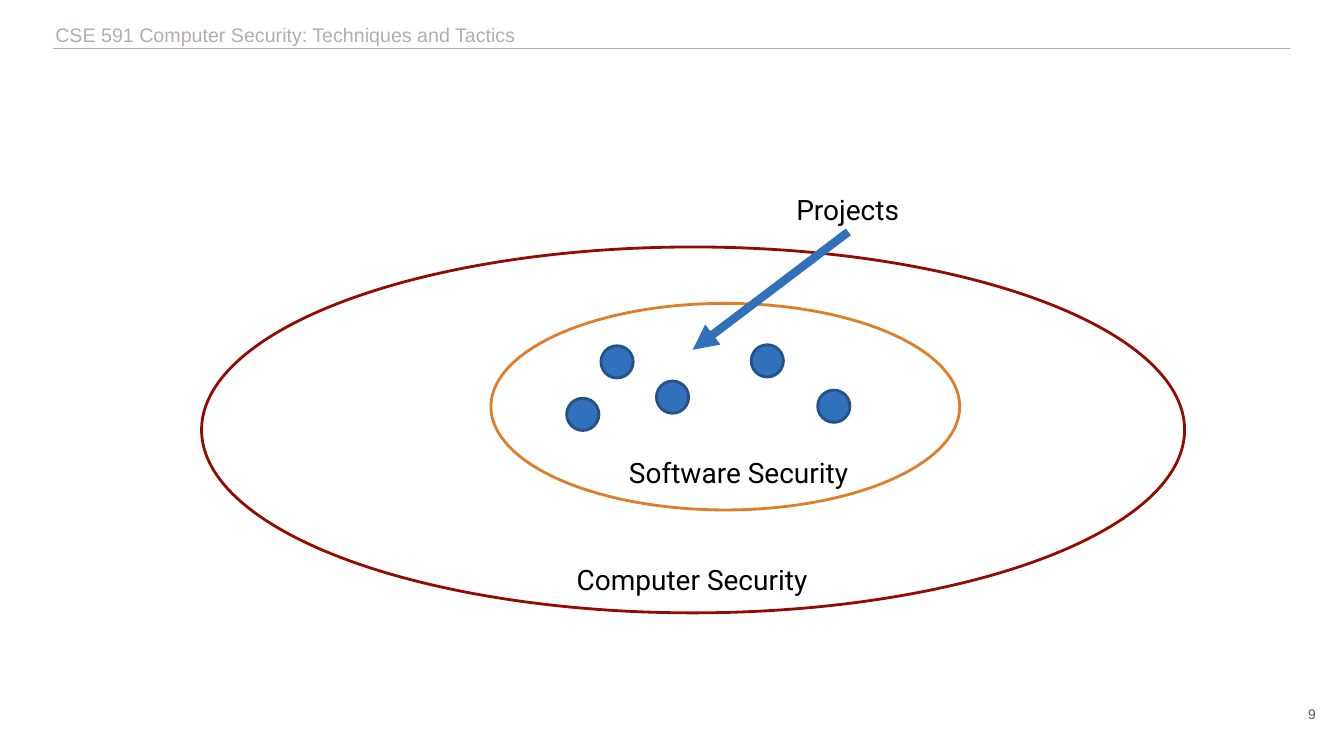
from lxml import etree
from pptx import Presentation
from pptx.dml.color import RGBColor
from pptx.enum.shapes import MSO_CONNECTOR, MSO_SHAPE
from pptx.enum.text import MSO_ANCHOR, MSO_AUTO_SIZE, PP_ALIGN
from pptx.oxml.ns import qn
from pptx.util import Inches, Pt

STRAIGHT, ELLIPSE = MSO_CONNECTOR.STRAIGHT, MSO_SHAPE.OVAL
TOP, MIDDLE = MSO_ANCHOR.TOP, MSO_ANCHOR.MIDDLE
LEFT, RIGHT = PP_ALIGN.LEFT, PP_ALIGN.RIGHT
GROW, FIXED = MSO_AUTO_SIZE.SHAPE_TO_FIT_TEXT, MSO_AUTO_SIZE.NONE
BOTTOM_SIDE = 2

COLORS = {name: RGBColor.from_string(value) for name, value in {
    "white": "FFFFFF", "black": "000000", "header": "B5ADAA", "number": "595959",
    "computer": "930C02", "software": "DE7E2B", "project": "3170BA", "project_edge": "24538A",
}.items()}

deck = Presentation()
deck.slide_width, deck.slide_height = Inches(13.33), Inches(7.5)
page = deck.slides.add_slide(deck.slide_layouts[6])


def place(*shares):
    """Turn alternating percentages of slide width and height into lengths."""
    sides = (deck.slide_width, deck.slide_height) * 2
    return [round(side * share / 100) for side, share in zip(sides, shares)]


def draw_line(shares, color, width):
    line = page.shapes.add_connector(STRAIGHT, *place(*shares))
    line.line.color.rgb, line.line.width = COLORS[color], Pt(width)
    etree.SubElement(line._element.spPr, qn("a:effectLst"))
    return line


draw_line((3.98, 6.4, 96.02, 6.4), "header", 0.75)

# Security fields, then the projects inside them
ellipses = [
    ((15, 32.67, 73.14, 48.4), "white", "computer"),
    ((36.53, 40.13, 34.88, 27.33), "white", "software"),
]
project_corners = [(55.89, 45.6), (48.84, 50.4), (44.71, 45.73), (42.16, 52.67), (60.84, 51.6)]
ellipses += [((*corner, 2.4, 4.27), "project", "project_edge") for corner in project_corners]
for shares, fill, edge in ellipses:
    ellipse = page.shapes.add_shape(ELLIPSE, *place(*shares))
    ellipse.shadow.inherit = False
    ellipse.fill.solid()
    ellipse.fill.fore_color.rgb = COLORS[fill]
    ellipse.line.color.rgb, ellipse.line.width = COLORS[edge], Pt(2)

# Text boxes
label_font = {"name": "Roboto", "size": Pt(20)}
label_frame = {"word_wrap": False, "auto_size": GROW, "vertical_anchor": TOP}
page_frame = {"word_wrap": True, "auto_size": FIXED,
              "margin_top": Inches(0.1), "margin_bottom": Inches(0.1)}
texts = [
    ("CSE 591 Computer Security: Techniques and Tactics", (3.38, 1.73, 65.79, 6), "header", LEFT,
     {"name": "Arial", "size": Pt(14)}, {**page_frame, "vertical_anchor": TOP}),
    ("9", (92.65, 90.67, 6, 7.6), "number", RIGHT,
     {"name": "Arial", "size": Pt(10)}, {**page_frame, "vertical_anchor": MIDDLE}),
    ("Computer Security", (42.16, 73.73, 18.83, 5.87), "black", LEFT, label_font, label_frame),
    ("Software Security", (46.06, 59.6, 18, 5.87), "black", LEFT, label_font, label_frame),
    ("Projects", (58.51, 24.8, 9.23, 5.87), "black", LEFT, label_font, label_frame),
]
boxes = {}
for text, shares, color, alignment, font_format, frame_format in texts:
    box = boxes[text] = page.shapes.add_textbox(*place(*shares))
    for name, value in frame_format.items():
        setattr(box.text_frame, name, value)
    para = box.text_frame.paragraphs[0]
    para.alignment = alignment
    span = para.add_run()
    span.text = text
    span.font.color.rgb = COLORS[color]
    for name, value in font_format.items():
        setattr(span.font, name, value)

# Arrow from the label to the projects
arrow = draw_line((63.13, 30.67, 51.54, 46.27), "project", 6)
arrow.begin_connect(boxes["Projects"], BOTTOM_SIDE)
etree.SubElement(arrow.line._get_or_add_ln(), qn("a:tailEnd"), type="triangle")

deck.save("out.pptx")
